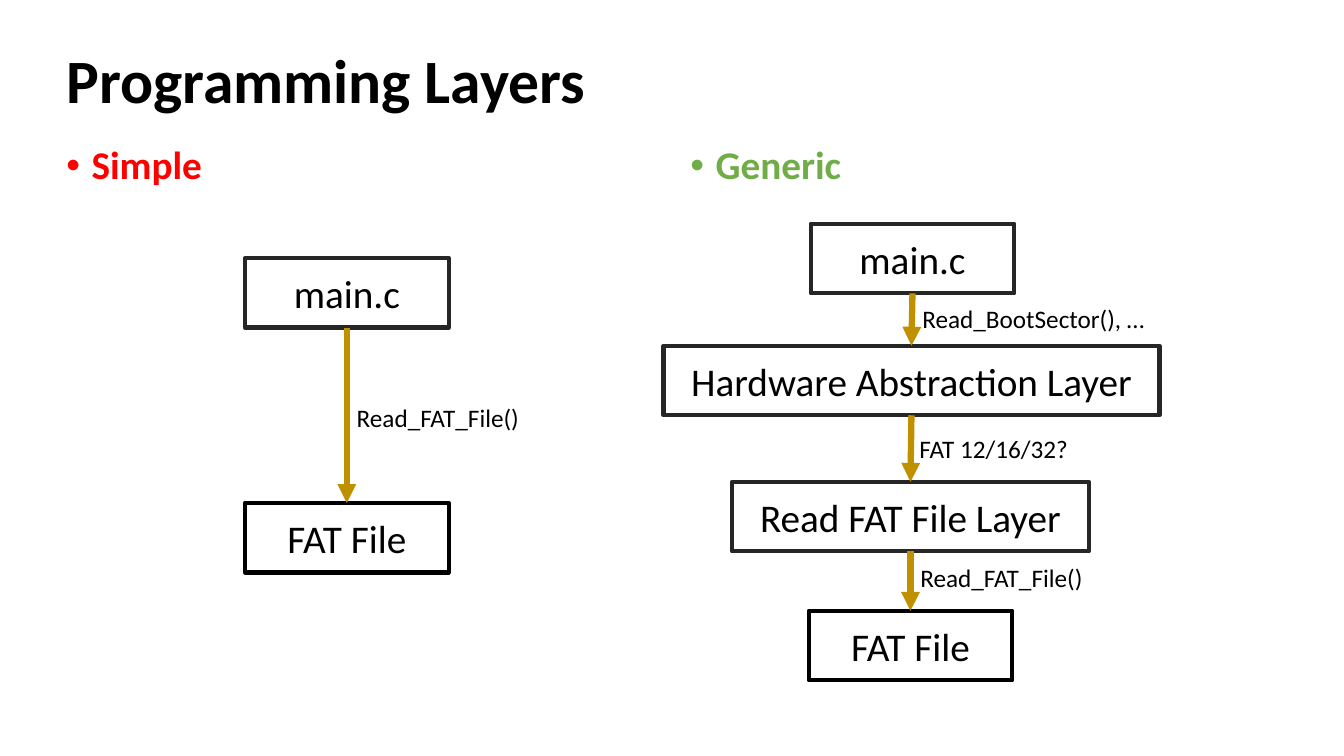
from lxml import etree
from pptx import Presentation
from pptx.dml.color import RGBColor
from pptx.enum.shapes import MSO_CONNECTOR, MSO_SHAPE
from pptx.enum.text import MSO_ANCHOR, PP_ALIGN
from pptx.oxml.ns import qn
from pptx.util import Inches, Pt

RECTANGLE = MSO_SHAPE.RECTANGLE
STRAIGHT = MSO_CONNECTOR.STRAIGHT
TOP, MIDDLE = MSO_ANCHOR.TOP, MSO_ANCHOR.MIDDLE
LEFT, CENTER = PP_ALIGN.LEFT, PP_ALIGN.CENTER

BLACK = RGBColor(0x00, 0x00, 0x00)
CHARCOAL = RGBColor(0x26, 0x26, 0x26)
RED = RGBColor(0xFF, 0x00, 0x00)
GREEN = RGBColor(0x70, 0xAD, 0x47)
GOLD = RGBColor(0xBF, 0x90, 0x00)

TITLE = ("Programming Layers", (0.56, 0.4, 12.28, 0.85))
HEADINGS = [
    ("Simple", RED, (0.56, 1.4, 6.02, 5.35)),
    ("Generic", GREEN, (6.75, 1.4, 6.09, 5.35)),
]
LAYER_HEIGHT = 0.69
LABEL_HEIGHT = 0.4
STACKS = [
    {
        "layers": [
            ("main.c", 3.44, 2.56, 2.02, CHARCOAL),
            ("FAT File", 3.44, 4.99, 2.02, BLACK),
        ],
        "calls": [("Read_FAT_File()", 3.44, 3.94, 1.87)],
    },
    {
        "layers": [
            ("main.c", 9.05, 2.22, 2.02, CHARCOAL),
            ("Hardware Abstraction Layer", 9.04, 3.43, 4.92, CHARCOAL),
            ("Read FAT File Layer", 9.03, 4.78, 3.54, CHARCOAL),
            ("FAT File", 9.03, 6.06, 2.02, BLACK),
        ],
        "calls": [
            ("Read_BootSector(), …", 9.05, 2.96, 2.45),
            ("FAT 12/16/32?", 9.02, 4.25, 1.78),
            ("Read_FAT_File()", 9.03, 5.53, 1.87),
        ],
    },
]


def apply(target, **values):
    for name, value in values.items():
        setattr(target, name, value)


def write(box, text, size, color=BLACK, bold=False, align=LEFT, anchor=TOP, wrap=True):
    apply(box.text_frame, word_wrap=wrap, vertical_anchor=anchor)
    para = box.text_frame.paragraphs[0]
    para.alignment = align
    span = para.add_run()
    span.text = text
    apply(span.font, name="Calibri", size=Pt(size), bold=bold)
    span.font.color.rgb = color
    return para


def add_text(page, area, text, size, **style):
    box = page.shapes.add_textbox(*map(Inches, area))
    return write(box, text, size, **style)


def add_heading(page, text, color, area):
    para = add_text(page, area, text, 28, color=color, bold=True)
    apply(para, line_spacing=0.9, space_before=Pt(10))
    properties = para._p.get_or_add_pPr()
    properties.set("marL", str(Inches(0.25)))
    properties.set("indent", str(-Inches(0.25)))
    etree.SubElement(properties, qn("a:buFont"), typeface="Arial")
    etree.SubElement(properties, qn("a:buChar"), char="•")


def add_layer(page, text, center, top, width, color):
    area = (center - width / 2, top, width, LAYER_HEIGHT)
    box = page.shapes.add_shape(RECTANGLE, *map(Inches, area))
    box.shadow.inherit = False
    box.fill.background()
    box.line.color.rgb = color
    box.line.width = Pt(3)
    write(box, text, 28, align=CENTER, anchor=MIDDLE)


def add_arrow(page, upper, lower):
    ends = (upper[1], upper[2] + LAYER_HEIGHT, lower[1], lower[2])
    arrow = page.shapes.add_connector(STRAIGHT, *map(Inches, ends))
    arrow.line.color.rgb = GOLD
    arrow.line.width = Pt(4.5)
    etree.SubElement(arrow.line._get_or_add_ln(), qn("a:tailEnd"), type="triangle")
    etree.SubElement(arrow._element.spPr, qn("a:effectLst"))


def main():
    deck = Presentation()
    apply(deck, slide_width=Inches(13.33), slide_height=Inches(7.5))
    page = deck.slides.add_slide(deck.slide_layouts[6])

    title, area = TITLE
    add_text(page, area, title, 44, bold=True, anchor=MIDDLE).line_spacing = 0.9
    for heading in HEADINGS:
        add_heading(page, *heading)

    for stack in STACKS:
        layers = stack["layers"]
        for layer in layers:
            add_layer(page, *layer)
        for upper, lower in zip(layers, layers[1:]):
            add_arrow(page, upper, lower)
        for text, left, top, width in stack["calls"]:
            add_text(page, (left, top, width, LABEL_HEIGHT), text, 18, wrap=False)

    deck.save("out.pptx")


if __name__ == "__main__":
    main()
